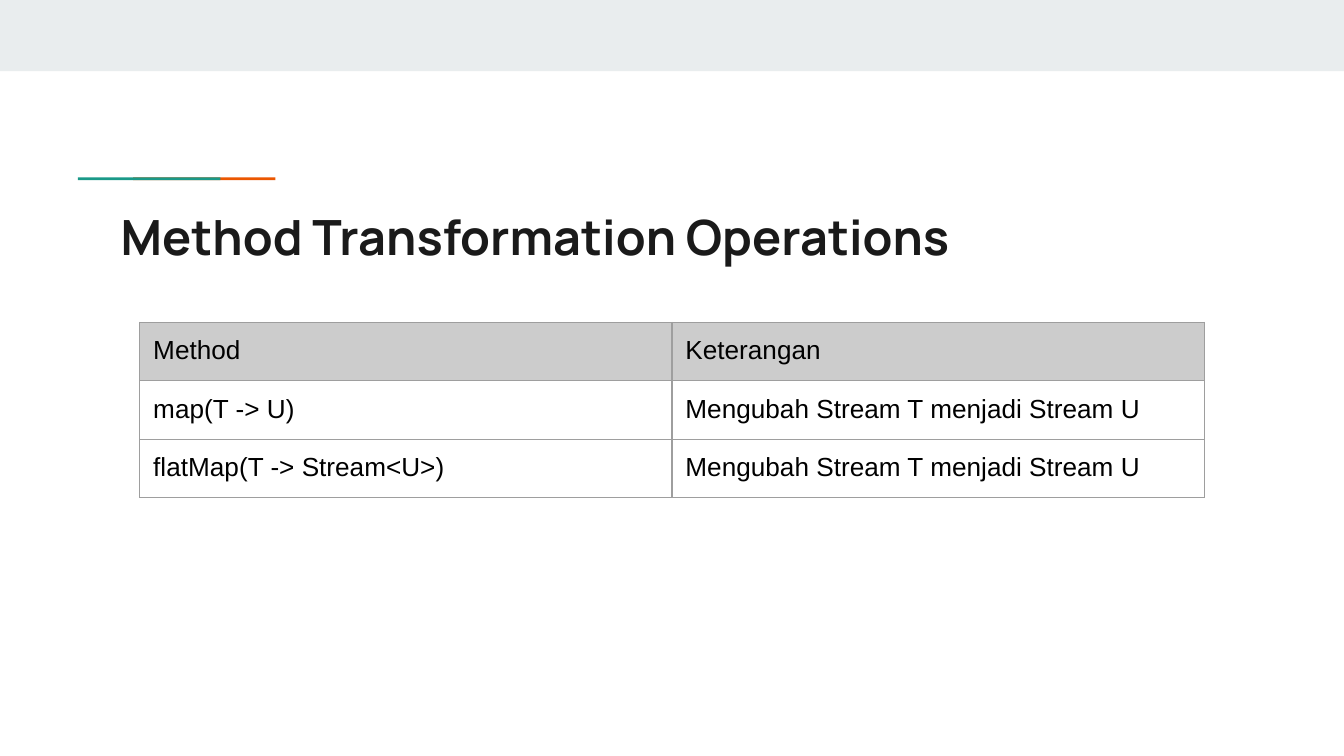
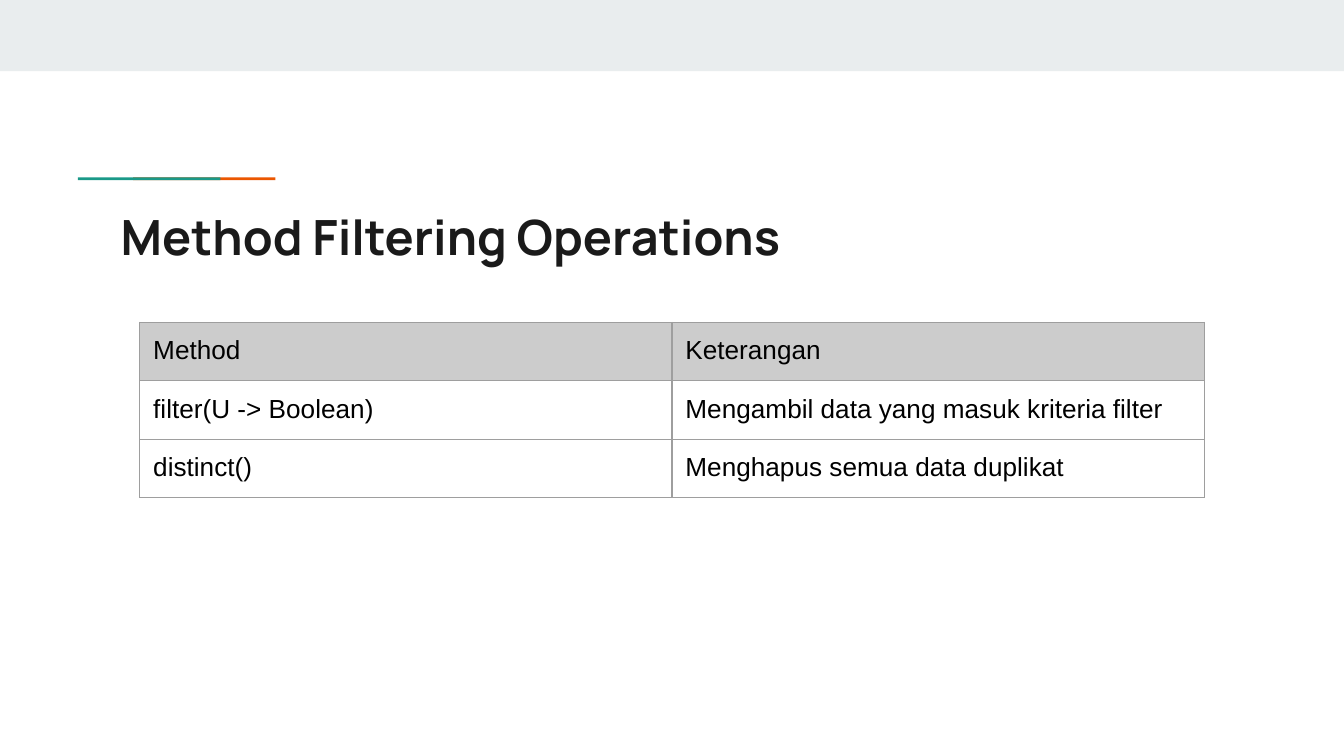
from dataclasses import dataclass

from lxml import etree
from pptx import Presentation
from pptx.dml.color import RGBColor
from pptx.enum.shapes import MSO_SHAPE
from pptx.enum.text import MSO_ANCHOR
from pptx.oxml.ns import qn
from pptx.slide import Slide
from pptx.table import _Cell
from pptx.text.text import _Paragraph
from pptx.util import Inches, Pt

RECTANGLE = MSO_SHAPE.RECTANGLE
TOP = MSO_ANCHOR.TOP
BLANK_LAYOUT = 6

COLORS = {
    "background": "FFFFFF",
    "band": "E9EDEE",
    "orange": "EB5600",
    "teal": "1A9988",
    "title": "1A1A1A",
    "text": "000000",
    "header": "CCCCCC",
    "border": "9E9E9E",
}
TITLE_FONT = "Manrope"
TABLE_FONT = "Arial"
SLIDE_WIDTH = Inches(10)
SLIDE_HEIGHT = SLIDE_WIDTH * 9 // 16
MARGIN = Inches(0.1)
TABLE_FRAME = Inches(3.28)
COLUMN_WIDTH = Inches(3.96)
ROW_HEIGHT = Inches(1.25) // 3
BORDER_WIDTH = Pt(0.75)
HEADER = ("Method", "Keterangan")


@dataclass(frozen=True)
class Bar:
    left: float
    top: float
    width: float
    height: float
    color: str


@dataclass(frozen=True)
class MethodPage:
    title: str
    methods: tuple[tuple[str, str], ...]


# The teal accent overlaps the left part of the orange one
BARS = (
    Bar(0, 0, 10, 0.53, "band"),
    Bar(0.99, 1.32, 1.06, 0.02, "orange"),
    Bar(0.58, 1.32, 1.06, 0.02, "teal"),
)

PAGES = (
    MethodPage("Method Transformation Operations", (
        ("map(T -> U)", "Mengubah Stream T menjadi Stream U"),
        ("flatMap(T -> Stream<U>)", "Mengubah Stream T menjadi Stream U"),
    )),
    MethodPage("Method Filtering Operations", (
        ("filter(U -> Boolean)", "Mengambil data yang masuk kriteria filter"),
        ("distinct()", "Menghapus semua data duplikat"),
    )),
)


def rgb(name: str) -> RGBColor:
    return RGBColor.from_string(COLORS[name])


def style_text(para: _Paragraph, font: str, size: float, color: str, bold: bool = False) -> None:
    para.line_spacing = 1.0
    for span in para.runs:
        span.font.name = font
        span.font.size = Pt(size)
        span.font.bold = bold
        span.font.color.rgb = rgb(color)


def add_bar(page: Slide, bar: Bar) -> None:
    shape = page.shapes.add_shape(
        RECTANGLE, Inches(bar.left), Inches(bar.top), Inches(bar.width), Inches(bar.height))
    shape.shadow.inherit = False
    shape.fill.solid()
    shape.fill.fore_color.rgb = rgb(bar.color)
    shape.line.fill.background()


def add_title(page: Slide, title: str) -> None:
    box = page.shapes.add_textbox(Inches(0.8), Inches(1.44), Inches(8.41), Inches(0.59))
    frame = box.text_frame
    frame.word_wrap = True
    frame.vertical_anchor = TOP
    frame.margin_left = frame.margin_right = MARGIN
    frame.margin_top = frame.margin_bottom = MARGIN
    frame.text = title
    style_text(frame.paragraphs[0], TITLE_FONT, 26, "title", bold=True)


def set_borders(cell: _Cell) -> None:
    properties = cell._tc.get_or_add_tcPr()
    for index, side in enumerate(("a:lnL", "a:lnR", "a:lnT", "a:lnB")):
        line = etree.Element(qn(side), w=str(BORDER_WIDTH))
        fill = etree.SubElement(line, qn("a:solidFill"))
        etree.SubElement(fill, qn("a:srgbClr"), val=COLORS["border"])
        properties.insert(index, line)


def add_method_table(page: Slide, methods: tuple[tuple[str, str], ...]) -> None:
    rows = (HEADER, *methods)
    holder = page.shapes.add_table(
        len(rows), len(HEADER), Inches(1.04), Inches(2.4), TABLE_FRAME, TABLE_FRAME)
    table = holder.table
    table.first_row = False
    table.horz_banding = False
    for column in table.columns:
        column.width = COLUMN_WIDTH
    for row_index, row in enumerate(rows):
        table.rows[row_index].height = ROW_HEIGHT
        for column_index, text in enumerate(row):
            cell = table.cell(row_index, column_index)
            cell.margin_left = cell.margin_right = MARGIN
            cell.margin_top = cell.margin_bottom = MARGIN
            cell.vertical_anchor = TOP
            cell.text_frame.text = text
            style_text(cell.text_frame.paragraphs[0], TABLE_FONT, 14, "text")
            if row_index == 0:
                cell.fill.solid()
                cell.fill.fore_color.rgb = rgb("header")
            else:
                cell.fill.background()
            set_borders(cell)
    # The frame stays square while the rows and columns keep their own sizes
    holder.width = holder.height = TABLE_FRAME


def main() -> None:
    deck = Presentation()
    deck.slide_width = SLIDE_WIDTH
    deck.slide_height = SLIDE_HEIGHT
    for content in PAGES:
        page = deck.slides.add_slide(deck.slide_layouts[BLANK_LAYOUT])
        page.background.fill.solid()
        page.background.fill.fore_color.rgb = rgb("background")
        # Shared band and accent line
        for bar in BARS:
            add_bar(page, bar)
        # Title and table of methods
        add_title(page, content.title)
        add_method_table(page, content.methods)
    deck.save("out.pptx")


if __name__ == "__main__":
    main()
